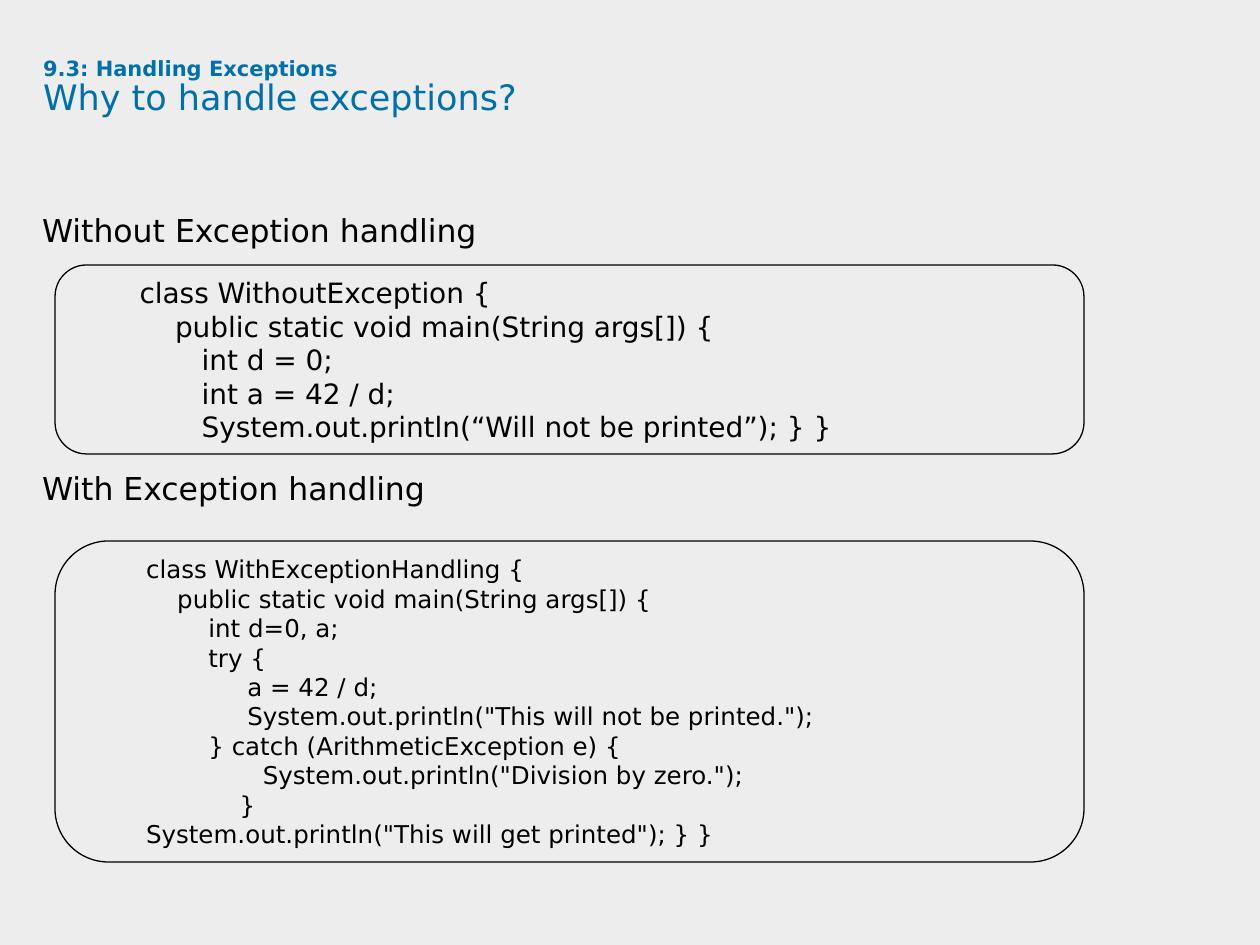
from pptx import Presentation
from pptx.dml.color import RGBColor
from pptx.enum.shapes import MSO_SHAPE
from pptx.enum.text import MSO_ANCHOR, PP_ALIGN
from pptx.util import Emu, Pt

PX = 914400 // 126
FONT = "DejaVu Sans"
COLORS = {"background": "EDEDED", "title": "0070AD", "text": "000000"}

WITHOUT_HANDLING = """class WithoutException {
    public static void main(String args[]) {
       int d = 0;
       int a = 42 / d;
       System.out.println(“Will not be printed”); } }"""

WITH_HANDLING = """class WithExceptionHandling {
    public static void main(String args[]) {
        int d=0, a;
        try {
             a = 42 / d;
             System.out.println("This will not be printed.");
        } catch (ArithmeticException e) {
               System.out.println("Division by zero.");
            }
System.out.println("This will get printed"); } }"""


def px(length):
    return Emu(length * PX)


def color(name):
    return RGBColor.from_string(COLORS[name])


def style(paragraph, size, color_name="text", bold=False):
    paragraph.alignment = PP_ALIGN.LEFT
    font = paragraph.font
    font.name, font.size, font.bold = FONT, Pt(size), bold
    font.color.rgb = color(color_name)


def add_text_frame(slide, box):
    """Add a wrapping text box without insets and return its frame."""
    frame = slide.shapes.add_textbox(*map(px, box)).text_frame
    frame.word_wrap = True
    frame.margin_left = frame.margin_top = 0
    frame.margin_right = frame.margin_bottom = 0
    return frame


def add_title(slide, box, section, title):
    frame = add_text_frame(slide, box)
    frame.text = f"{section}\n{title}"
    for paragraph, size, bold in zip(frame.paragraphs, (12, 20), (True, False)):
        paragraph.line_spacing = 0.9
        style(paragraph, size, "title", bold)


def add_heading(slide, box, text):
    frame = add_text_frame(slide, box)
    frame.text = text
    paragraph = frame.paragraphs[0]
    paragraph.line_spacing = Pt(25)
    style(paragraph, 18)


def add_code_panel(slide, box, code, size):
    shape = slide.shapes.add_shape(MSO_SHAPE.ROUNDED_RECTANGLE, *map(px, box))
    shape.shadow.inherit = False
    shape.fill.background()
    shape.line.color.rgb = color("text")
    shape.line.width = Pt(0.75)
    frame = shape.text_frame
    frame.word_wrap = True
    frame.vertical_anchor = MSO_ANCHOR.MIDDLE
    frame.text = code
    for paragraph in frame.paragraphs:
        properties = paragraph._p.get_or_add_pPr()
        properties.set("marL", str(px(63)))
        properties.set("indent", "0")
        style(paragraph, size)


def main():
    presentation = Presentation()
    presentation.slide_width, presentation.slide_height = px(1260), px(945)
    slide = presentation.slides.add_slide(presentation.slide_layouts[6])
    background = slide.background.fill
    background.solid()
    background.fore_color.rgb = color("background")

    add_title(slide, (43, 58, 1145, 118),
              "9.3: Handling Exceptions", "Why to handle exceptions?")
    add_heading(slide, (42, 205, 1218, 44), "Without Exception handling")
    add_code_panel(slide, (55, 265, 1029, 189), WITHOUT_HANDLING, 16)
    add_heading(slide, (42, 463, 1218, 44), "With Exception handling")
    add_code_panel(slide, (55, 541, 1029, 321), WITH_HANDLING, 14)
    presentation.save("out.pptx")


if __name__ == "__main__":
    main()
